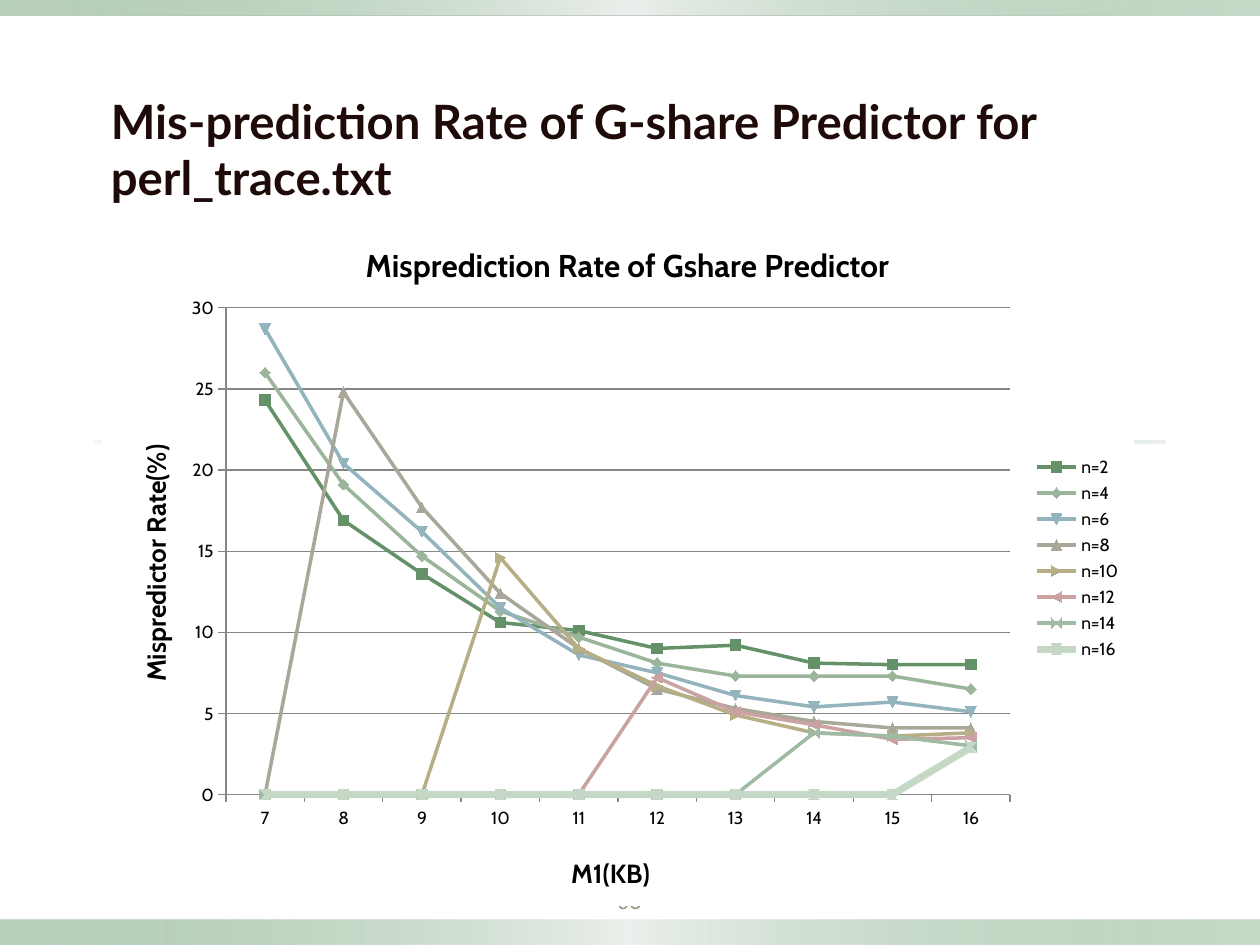
from lxml import etree
from pptx import Presentation
from pptx.chart.data import CategoryChartData
from pptx.dml.color import RGBColor
from pptx.enum.chart import XL_CHART_TYPE, XL_LEGEND_POSITION, XL_TICK_MARK
from pptx.enum.shapes import MSO_SHAPE
from pptx.enum.text import MSO_ANCHOR, PP_ALIGN
from pptx.oxml import parse_xml
from pptx.oxml.ns import nsdecls, qn
from pptx.util import Inches, Pt

LINE = XL_CHART_TYPE.LINE_MARKERS
RIGHT = XL_LEGEND_POSITION.RIGHT
OUT = XL_TICK_MARK.OUTSIDE
RECT = MSO_SHAPE.RECTANGLE
MID, LOW = MSO_ANCHOR.MIDDLE, MSO_ANCHOR.BOTTOM
LEFT, MEAN = PP_ALIGN.LEFT, PP_ALIGN.CENTER

COLS, ROWS = 100, 75
INK = {"green": "72A376", "mist": "EBF0EC", "pale": "D5E0D6", "title": "1F0A0A",
       "page": "91957A", "text": "000000", "grid": "868686", "back": "FFFFFF"}
BAND = [(0, "green", 50), (50, "mist", 100), (100, "green", 40)]
RULE = [(0, "pale", 20), (50, "green", 40), (100, "pale", 50)]

SIZES = range(7, 17)
# name: colour, line width, rates up to the last size
RATES = {
    "n=2": ("649168", 2, [24.3, 16.9, 13.6, 10.6, 10.1, 9, 9.2, 8.1, 8, 8]),
    "n=4": ("9AB59A", 2, [26, 19.1, 14.7, 11.3, 9.7, 8.1, 7.3, 7.3, 7.3, 6.5]),
    "n=6": ("93B3BD", 2, [28.7, 20.4, 16.2, 11.5, 8.6, 7.5, 6.1, 5.4, 5.7, 5.1]),
    "n=8": ("A9A799", 2, [24.8, 17.7, 12.4, 9, 6.5, 5.3, 4.5, 4.1, 4.1]),
    "n=10": ("B6AE84", 2, [14.6, 9, 6.7, 4.9, 3.8, 3.6, 3.8]),
    "n=12": ("CCA1A1", 2, [7.2, 5.1, 4.3, 3.4, 3.5]),
    "n=14": ("A0BBA4", 2, [3.8, 3.6, 3]),
    "n=16": ("C5D8C6", 4, [2.9]),
}


def rgb(name):
    return RGBColor.from_string(INK.get(name, name))


def place(node, **share):
    """Pin a chart part at shares of the chart's size."""
    for old in node.findall(qn("c:layout")):
        node.remove(old)
    lay = parse_xml(f"<c:layout {nsdecls('c')}><c:manualLayout/></c:layout>")
    if "w" in share:
        etree.SubElement(lay[0], qn("c:layoutTarget")).set("val", "inner")
    for axis in "xy":
        etree.SubElement(lay[0], qn(f"c:{axis}Mode")).set("val", "edge")
    for key, val in share.items():
        etree.SubElement(lay[0], qn(f"c:{key}")).set("val", str(val))
    text = node.find(qn("c:tx"))
    if text is None:
        node.insert(0, lay)
    else:
        text.addnext(lay)


class Deck:
    def __init__(self):
        self.prs = Presentation()
        self.prs.slide_width, self.prs.slide_height = Inches(10), Inches(7.5)
        self.slide = self.prs.slides.add_slide(self.prs.slide_layouts[6])

    def box(self, col, row, wide, high):
        x, y = self.prs.slide_width / COLS, self.prs.slide_height / ROWS
        return [round(v) for v in (col * x, row * y, wide * x, high * y)]

    def font(self, font, size, ink="text", bold=False, name="Cabin"):
        look = {"size": Pt(size), "bold": bold, "name": name}
        for key, val in look.items():
            setattr(font, key, val)
        font.color.rgb = rgb(ink)

    def bar(self, area, stops):
        """Draw a strip that fades from left to right."""
        bar = self.slide.shapes.add_shape(RECT, *self.box(*area))
        bar.shadow.inherit = False
        bar.line.fill.background()
        bar.fill.gradient()
        bar.fill.gradient_angle = 0
        row = bar._element.spPr.find(".//" + qn("a:gsLst"))
        for old in list(row):
            row.remove(old)
        for spot, ink, alpha in stops:
            stop = etree.SubElement(row, qn("a:gs"), pos=str(spot * 1000))
            tint = etree.SubElement(stop, qn("a:srgbClr"), val=INK[ink])
            etree.SubElement(tint, qn("a:alpha"), val=str(alpha * 1000))

    def text(self, area, words, anchor, align, pad, **look):
        frame = self.slide.shapes.add_textbox(*self.box(*area)).text_frame
        side, end = map(Inches, pad)
        form = {"word_wrap": True, "vertical_anchor": anchor, "margin_left": side,
                "margin_right": side, "margin_top": end, "margin_bottom": end}
        for key, val in form.items():
            setattr(frame, key, val)
        para = frame.paragraphs[0]
        para.alignment = align
        run = para.add_run()
        run.text = words
        self.font(run.font, **look)

    def label(self, owner, words, size, x, y):
        """Title a chart or an axis."""
        title = owner.chart_title if hasattr(owner, "chart_title") else owner.axis_title
        run = title.text_frame.paragraphs[0].add_run()
        run.text = words
        self.font(run.font, size, bold=True)
        place(title._element, x=x, y=y)

    def chart(self, area, rates):
        data = CategoryChartData()
        data.categories = [str(size) for size in SIZES]
        for name, (_, _, vals) in rates.items():
            data.add_series(name, [None] * (len(SIZES) - len(vals)) + vals)
        chart = self.slide.shapes.add_chart(LINE, *self.box(*area), data).chart
        self.font(chart.font, 10)
        chart.has_legend = True
        chart.legend.position = RIGHT
        chart.legend.include_in_layout = False
        chart.plots[0].vary_by_categories = False

        for line, (ink, wide, _) in zip(chart.plots[0].series, rates.values()):
            line.smooth = False
            line.format.line.width = Pt(wide)
            line.format.line.color.rgb = rgb(ink)
            mark = line.marker
            mark.size = 6
            mark.format.fill.solid()
            mark.format.fill.fore_color.rgb = rgb(ink)
            mark.format.line.color.rgb = rgb(ink)

        down, across = chart.value_axis, chart.category_axis
        for key, val in {"minimum_scale": 0, "maximum_scale": 30, "major_unit": 5}.items():
            setattr(down, key, val)
        for axis in (down, across):
            axis.major_tick_mark = OUT
            axis.format.line.color.rgb = rgb("grid")
            self.font(axis.tick_labels.font, 10)
        down.major_gridlines.format.line.color.rgb = rgb("grid")

        self.label(chart, "Misprediction Rate of Gshare Predictor", 18, 0.25, 0.04)
        self.label(down, "Mispredictor Rate(%)", 15, 0.03, 0.33)
        self.label(across, "M1(KB)", 15, 0.45, 0.92)
        root = chart._chartSpace
        place(root.chart.plotArea, x=0.12, y=0.14, w=0.76, h=0.7)
        root.chart.find(qn("c:dispBlanksAs")).set("val", "zero")
        root.chart.addnext(parse_xml(
            f"<c:spPr {nsdecls('c', 'a')}><a:solidFill><a:srgbClr val='{INK['back']}'/>"
            "</a:solidFill><a:ln><a:noFill/></a:ln></c:spPr>"))


def main():
    deck = Deck()
    deck.bar((0, 73, COLS, 2), BAND)
    deck.bar((0, 0, COLS, 1.2), BAND)
    deck.bar((7.5, 35, 85, 0.2), RULE)
    deck.text((45, 70, 10, 3.1), "60", MID, MEAN, (0.05, 0.05), size=11, ink="page")
    deck.text((8.1, 8.6, 75.5, 8.1),
              "Mis-prediction Rate of G-share Predictor for perl_trace.txt",
              LOW, LEFT, (0.07, 0.04), size=27, ink="title", bold=True, name="Lato")
    deck.chart((8.1, 16.7, 81.9, 55.2), RATES)
    deck.prs.save("out.pptx")


if __name__ == "__main__":
    main()
